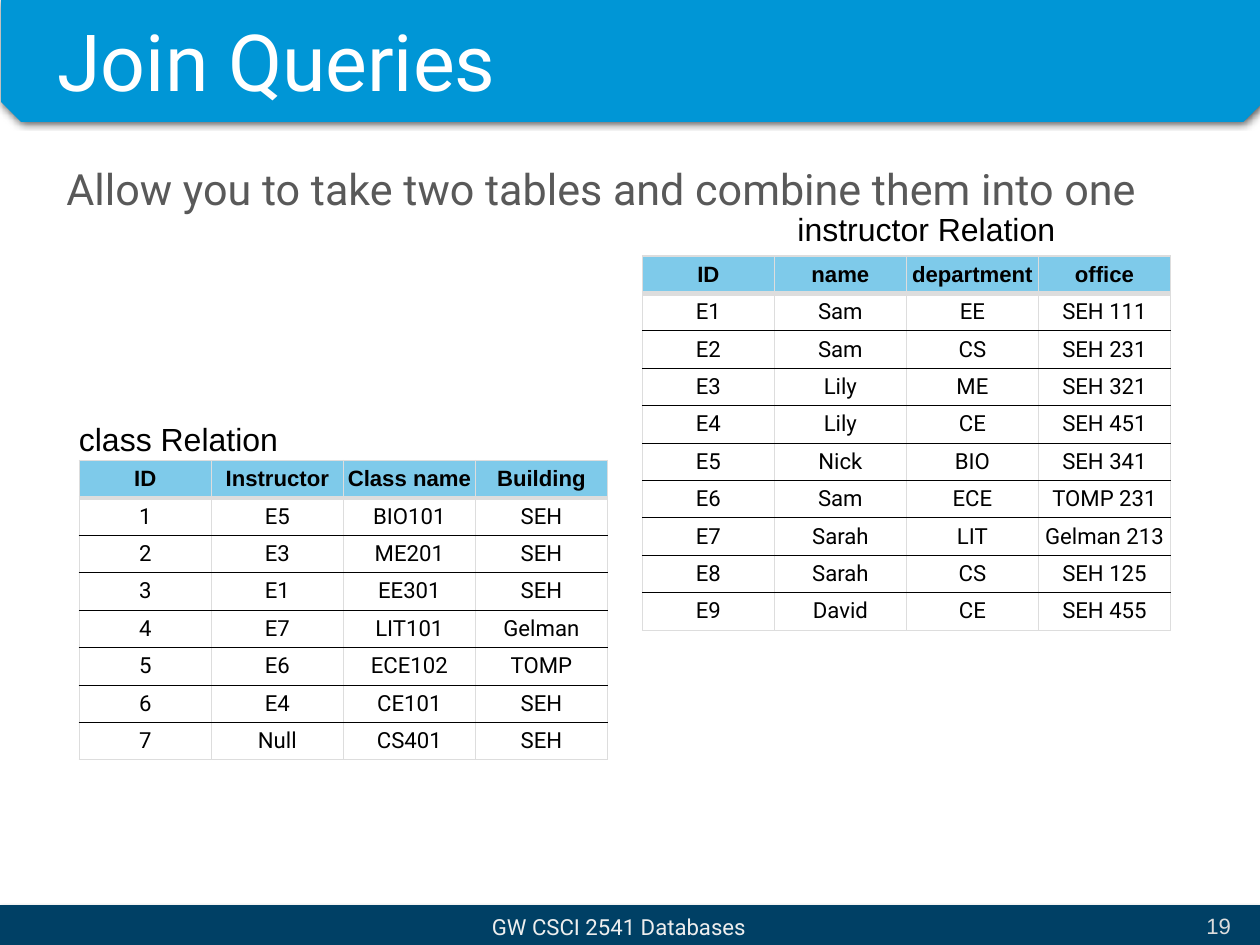
from lxml.etree import SubElement
from pptx import Presentation
from pptx.dml.color import RGBColor
from pptx.enum.shapes import MSO_SHAPE
from pptx.enum.text import MSO_ANCHOR, MSO_AUTO_SIZE, PP_ALIGN
from pptx.oxml import parse_xml
from pptx.oxml.ns import nsdecls, qn
from pptx.util import Inches, Pt

INSTRUCTORS = [
    ["ID", "name", "department", "office"],
    ["E1", "Sam", "EE", "SEH 111"],
    ["E2", "Sam", "CS", "SEH 231"],
    ["E3", "Lily", "ME", "SEH 321"],
    ["E4", "Lily", "CE", "SEH 451"],
    ["E5", "Nick", "BIO", "SEH 341"],
    ["E6", "Sam", "ECE", "TOMP 231"],
    ["E7", "Sarah", "LIT", "Gelman 213"],
    ["E8", "Sarah", "CS", "SEH 125"],
    ["E9", "David", "CE", "SEH 455"],
]
CLASSES = [
    ["ID", "Instructor", "Class name", "Building"],
    ["1", "E5", "BIO101", "SEH"],
    ["2", "E3", "ME201", "SEH"],
    ["3", "E1", "EE301", "SEH"],
    ["4", "E7", "LIT101", "Gelman"],
    ["5", "E6", "ECE102", "TOMP"],
    ["6", "E4", "CE101", "SEH"],
    ["7", "Null", "CS401", "SEH"],
]


def rgb(value):
    return RGBColor.from_string(value)


def apply(obj, values):
    for name, value in values.items():
        setattr(obj, name, value)


class Deck:
    blue, navy, sky, white = "0096D6", "004065", "7ECAEA", "FFFFFF"
    black, gray, rule = "000000", "595959", "DDDDDD"
    head_font, text_font = "Arial", "Roboto"
    col_width, row_height = 10.48, 3.96

    def __init__(self, width, height):
        self.prs = Presentation()
        apply(self.prs, {"slide_width": Inches(width), "slide_height": Inches(height)})
        self.s = self.prs.slides.add_slide(self.prs.slide_layouts[5])

    def x(self, percent):
        return round(self.prs.slide_width * percent / 100)

    def y(self, percent):
        return round(self.prs.slide_height * percent / 100)

    def box(self, left, top, width, height):
        return self.x(left), self.y(top), self.x(width), self.y(height)

    def add_text(self, p, text, size, color, font, align=PP_ALIGN.LEFT, bold=False):
        p.alignment = align
        r = p.add_run()
        r.text = text
        apply(r.font, {"size": Pt(size), "name": font, "bold": bold})
        r.font.color.rgb = rgb(color)

    def fill_frame(self, tf, text, size, color, font, inset, anchor, align, spacing):
        apply(tf, {"word_wrap": True, "auto_size": MSO_AUTO_SIZE.NONE, "vertical_anchor": anchor})
        apply(tf, {f"margin_{side}": Pt(inset) for side in ("left", "top", "right", "bottom")})
        p = tf.paragraphs[0]
        p.line_spacing = spacing
        self.add_text(p, text, size, color, font, align)

    def text(self, place, text, size, color, font, inset=10, anchor=MSO_ANCHOR.MIDDLE,
             align=PP_ALIGN.LEFT, spacing=1.0):
        tb = self.s.shapes.add_textbox(*self.box(*place))
        self.fill_frame(tb.text_frame, text, size, color, font, inset, anchor, align, spacing)

    def title(self, place, text, size):
        sp = self.s.shapes.title
        apply(sp, dict(zip(("left", "top", "width", "height"), self.box(*place))))
        self.fill_frame(sp.text_frame, text, size, self.white, self.text_font, 10,
                        MSO_ANCHOR.MIDDLE, PP_ALIGN.LEFT, 1.0)
        sp.element.getparent().append(sp.element)

    def paint(self, sp, color, alpha, blur, distance):
        sp.fill.solid()
        sp.fill.fore_color.rgb = rgb(color)
        sp.line.color.rgb = rgb(color)
        sp.line.width = Pt(1)
        sp.shadow.inherit = False
        effects = sp.element.spPr.find(qn("a:effectLst"))
        shadow = SubElement(effects, qn("a:outerShdw"), blurRad=str(Pt(blur)),
                            dist=str(Pt(distance)), dir="5400000", rotWithShape="0")
        tint = SubElement(shadow, qn("a:srgbClr"), val=self.black)
        SubElement(tint, qn("a:alpha"), val=str(alpha * 1000))

    def banner(self, points):
        corners = [(self.x(px), self.y(py)) for px, py in points]
        fb = self.s.shapes.build_freeform(*corners[0])
        fb.add_line_segments(corners[1:])
        self.paint(fb.convert_to_shape(), self.blue, 71, 7, 0)

    def bar(self, place):
        sp = self.s.shapes.add_shape(MSO_SHAPE.RECTANGLE, *self.box(*place))
        self.paint(sp, self.navy, 37, 4, 2)

    def borders(self, cell, top, bottom):
        side = (self.rule, 1)
        tcPr = cell._tc.get_or_add_tcPr()
        for i, (edge, (color, width)) in enumerate(zip("LRTB", (side, side, top, bottom))):
            tcPr.insert(i, parse_xml(
                f'<a:ln{edge} {nsdecls("a")} w="{Pt(width)}"><a:solidFill>'
                f'<a:srgbClr val="{color}"/></a:solidFill></a:ln{edge}>'))

    def table(self, left, top, data):
        rows, cols = len(data), len(data[0])
        place = self.box(left, top, cols * self.col_width, rows * self.row_height)
        table = self.s.shapes.add_table(rows, cols, *place).table
        table.horz_banding = False
        for column in table.columns:
            column.width = self.x(self.col_width)
        thin, thick, dark = (self.rule, 1), (self.rule, 4), (self.black, 0.75)
        edges = [thin, thick] + [dark] * (rows - 2) + [thin]
        for i, values in enumerate(data):
            table.rows[i].height = self.y(self.row_height)
            head = i == 0
            for j, value in enumerate(values):
                cell = table.cell(i, j)
                apply(cell, {"margin_left": 0, "margin_top": 0, "margin_right": 0,
                             "margin_bottom": 0, "vertical_anchor": MSO_ANCHOR.MIDDLE})
                cell.fill.solid()
                cell.fill.fore_color.rgb = rgb(self.sky if head else self.white)
                self.borders(cell, edges[i], edges[i + 1])
                self.add_text(cell.text_frame.paragraphs[0], value, 18, self.black,
                              self.head_font if head else self.text_font, PP_ALIGN.CENTER, head)

    def relation(self, label_place, label, left, top, data):
        self.text(label_place, label, 26, self.black, self.head_font, 0, MSO_ANCHOR.TOP)
        self.table(left, top, data)


def main():
    d = Deck(14.22, 10.67)
    d.banner([(0.14, 0), (100.21, 0), (100.21, 10.78), (98.66, 12.84), (1.69, 12.84), (0.14, 10.78)])
    d.bar((0, 95.88, 100, 4.12))
    d.text((7.38, 95.31, 83.47, 5.53), "GW CSCI 2541 Databases", 18, "EEEEEE", d.text_font,
           align=PP_ALIGN.CENTER)
    d.title((3.59, 0, 93.18, 12.75), "Join Queries", 64)
    d.text((4.29, 15.09, 94.02, 80.32), "Allow you to take two tables and combine them into one",
           35, d.gray, d.text_font, anchor=MSO_ANCHOR.TOP, spacing=1.15)
    d.text((94.59, 95.31, 4.08, 5.34), "19", 18, d.rule, d.head_font, align=PP_ALIGN.RIGHT)
    d.relation((63.29, 22.21, 20.53, 3.94), "instructor Relation", 50.98, 27.09, INSTRUCTORS)
    d.relation((6.26, 44.42, 15.89, 3.94), "class Relation", 6.29, 48.73, CLASSES)
    d.prs.save("out.pptx")


if __name__ == "__main__":
    main()
